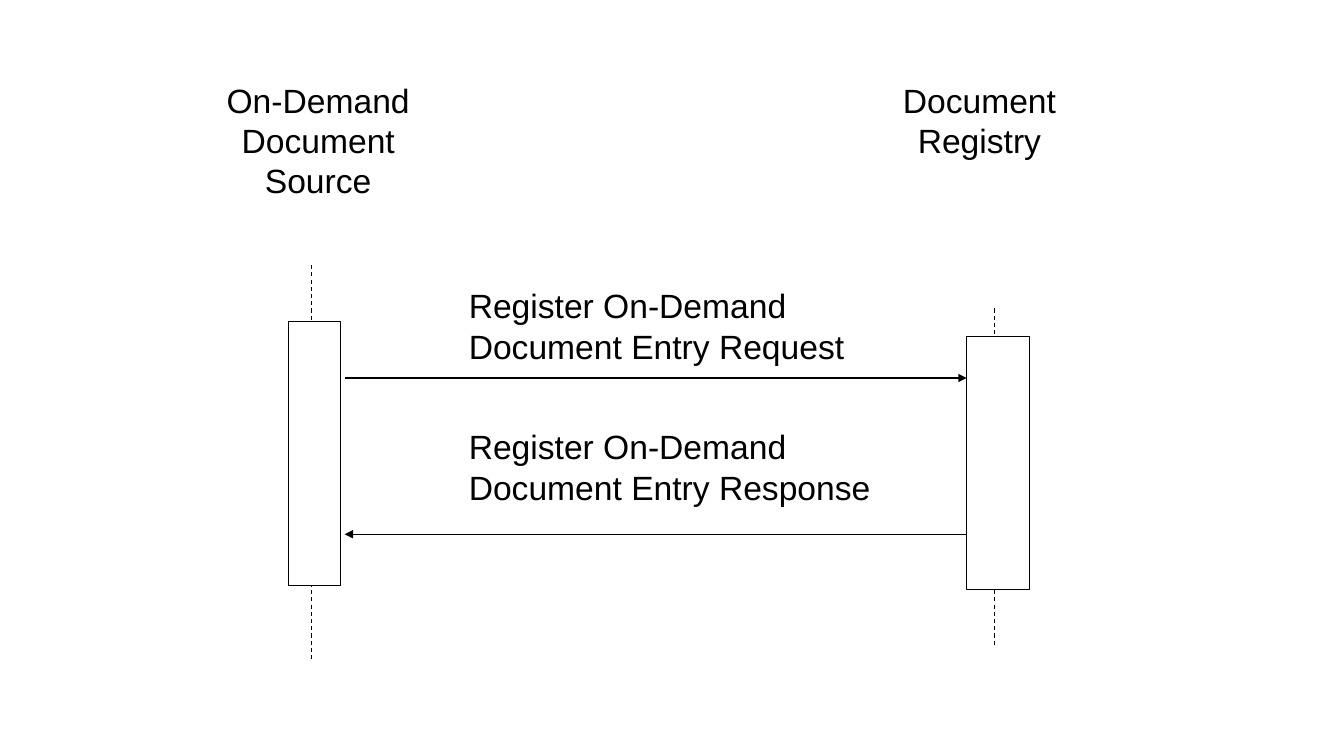
from dataclasses import dataclass

from lxml.etree import SubElement
from pptx import Presentation
from pptx.dml.color import RGBColor
from pptx.enum.dml import MSO_LINE_DASH_STYLE as Dash
from pptx.enum.shapes import MSO_CONNECTOR as Connector, MSO_SHAPE as Shape
from pptx.enum.text import MSO_ANCHOR as Anchor, PP_ALIGN as Align
from pptx.oxml.ns import qn
from pptx.util import Inches, Pt


@dataclass(frozen=True)
class Theme:
    ink: RGBColor = RGBColor(0, 0, 0)
    paper: RGBColor = RGBColor(255, 255, 255)
    font: str = "Arial"
    text_size: Pt = Pt(24)
    line_width: Pt = Pt(0.75)


THEME = Theme()
WIDTH, HEIGHT = Inches(13.33), Inches(7.5)

# Places are in percent of the slide's width and height.
# Participants: name, box, lifeline x, lifeline span, bar (left, top, width, height);
# lifeline and bar are offsets from the left and top of the box.
PARTICIPANTS = [
    ("On-Demand Document Source", (13.13, 9.87, 21.08, 21.87),
     10.05, (25.2, 77.6), (8.32, 32.66, 3.9, 34.93)),
    ("Document Registry", (62.33, 9.87, 21.08, 21.87),
     11.7, (30.93, 75.6), (9.6, 34.66, 4.65, 33.47)),
]
# Messages: wording, label box, arrow y below the top of the label, points right
SOURCE_SIDE, REGISTRY_SIDE = 25.65, 71.93
MESSAGES = [
    ("Register On-Demand Document Entry Request", (34.88, 37.73, 34.2, 18.67), 12.27, True),
    ("Register On-Demand Document Entry Response", (34.88, 56.4, 32.7, 18.67), 14.27, False),
]


def across(share):
    return round(WIDTH * share / 100)


def down(share):
    return round(HEIGHT * share / 100)


def place(box):
    left, top, width, height = box
    return across(left), down(top), across(width), down(height)


def write(frame, wording, align, **frame_format):
    settings = {"word_wrap": True, "vertical_anchor": Anchor.TOP, **frame_format}
    for name, value in settings.items():
        setattr(frame, name, value)
    paragraph = frame.paragraphs[0]
    paragraph.text = wording
    paragraph.alignment = align
    for name, value in {"name": THEME.font, "size": THEME.text_size}.items():
        setattr(paragraph.font, name, value)
    paragraph.font.color.rgb = THEME.ink


def draw_outline(line):
    line.color.rgb = THEME.ink
    line.width = THEME.line_width


def add_panel(diagram, box):
    panel = diagram.add_shape(Shape.RECTANGLE, *place(box))
    panel.shadow.inherit = False
    panel.fill.solid()
    panel.fill.fore_color.rgb = THEME.paper
    return panel


def add_line(diagram, start, end):
    connector = diagram.add_connector(
        Connector.STRAIGHT, across(start[0]), down(start[1]), across(end[0]), down(end[1]))
    draw_outline(connector.line)
    SubElement(connector._element.spPr, qn("a:effectLst"))
    return connector


def add_participant(diagram, name, box, lifeline_x, lifeline_span, bar):
    """Place the heading in its box, with the lifeline and activation bar below."""
    left, top = box[:2]
    heading = add_panel(diagram, box)
    heading.line.fill.background()
    write(heading.text_frame, name, Align.CENTER)

    start, end = ((left + lifeline_x, top + y) for y in lifeline_span)
    add_line(diagram, start, end).line.dash_style = Dash.DASH

    bar_x, bar_y, *bar_size = bar
    activation = add_panel(diagram, (left + bar_x, top + bar_y, *bar_size))
    draw_outline(activation.line)


def add_message(diagram, wording, box, arrow_y, points_right):
    label = diagram.add_textbox(*place(box))
    write(label.text_frame, wording, Align.LEFT,
          margin_left=0, margin_top=0, margin_right=0, margin_bottom=0)

    ends = [(x, box[1] + arrow_y) for x in (SOURCE_SIDE, REGISTRY_SIDE)]
    arrow = add_line(diagram, *(ends if points_right else reversed(ends)))
    SubElement(arrow.line._get_or_add_ln(), qn("a:tailEnd"), type="triangle")


def add_sequence_slide(deck):
    slide = deck.slides.add_slide(deck.slide_layouts[6])
    diagram = slide.shapes.add_group_shape().shapes
    for participant in PARTICIPANTS:
        add_participant(diagram, *participant)
    for message in MESSAGES:
        add_message(diagram, *message)


def main():
    deck = Presentation()
    deck.slide_width, deck.slide_height = WIDTH, HEIGHT
    add_sequence_slide(deck)
    deck.save("out.pptx")


if __name__ == "__main__":
    main()
